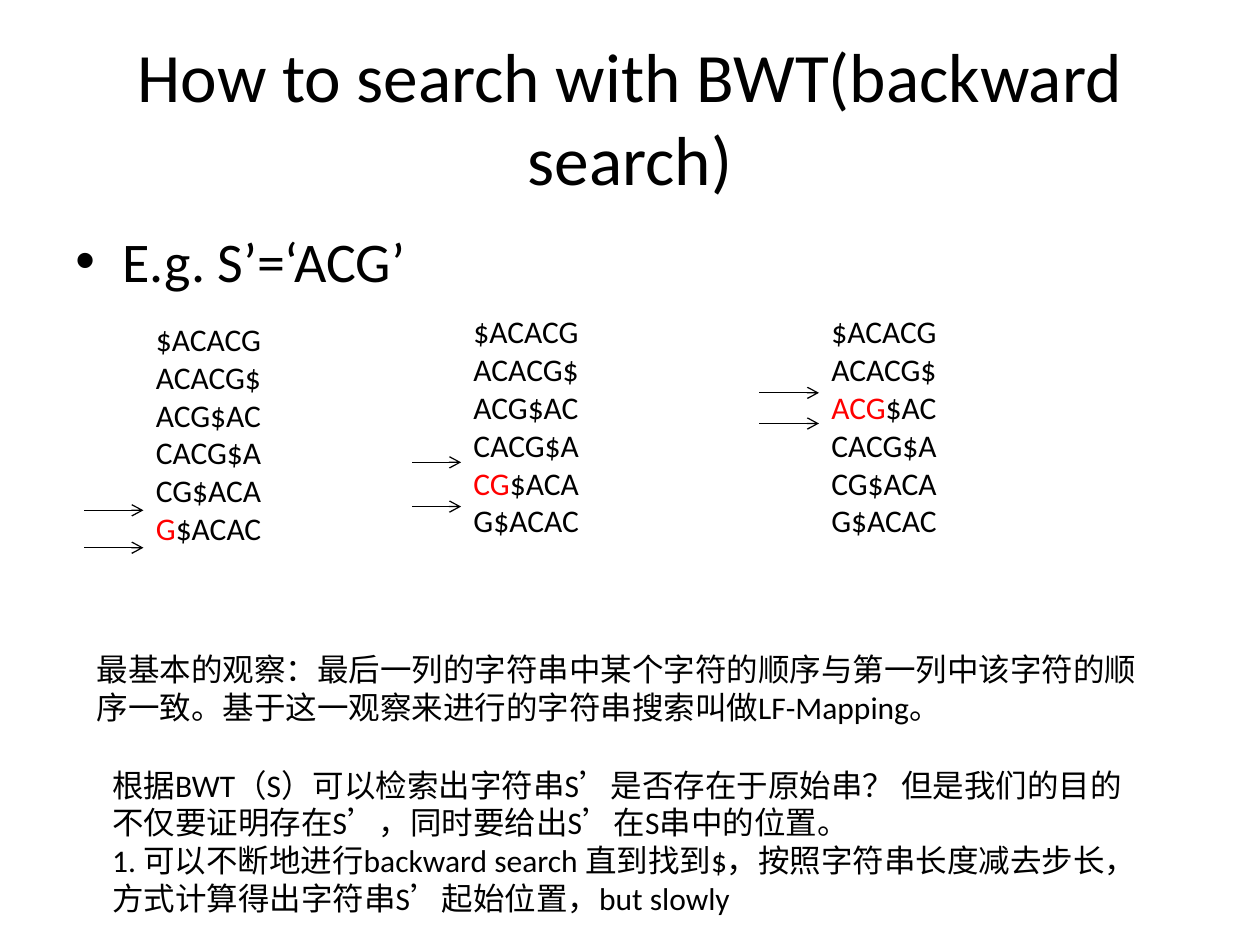
from pptx import Presentation
from pptx.dml.color import RGBColor as Rgb
from pptx.enum.shapes import MSO_CONNECTOR as Connector
from pptx.enum.text import MSO_ANCHOR as Anchor, PP_ALIGN as Align
from pptx.oxml.ns import qn
from pptx.util import Pt
from lxml.etree import SubElement

COLORS = {"text": "000000", "match": "FF0000"}
FONT = "Calibri"
ROTATIONS = ["$ACACG", "ACACG$", "ACG$AC", "CACG$A", "CG$ACA", "G$ACAC"]

# Left and top of each list, the matched prefix, arrow start and arrow heights
STEPS = [
    {"left": 82, "top": 179.3, "match": "G", "start": 48.2, "arrows": [291.6, 313]},
    {"left": 263.5, "top": 175, "match": "CG", "start": 235.5, "arrows": [264.2, 289.5]},
    {"left": 468, "top": 175, "match": "ACG", "start": 433.8, "arrows": [224.5, 242]},
]

OBSERVATION = [
    "最基本的观察：最后一列的字符串中某个字符的顺序与第一列中该字符的顺序一致。"
    "基于这一观察来进行的字符串搜索叫做LF-Mapping。",
]
SEARCH_NOTES = [
    "根据BWT（S）可以检索出字符串S’是否存在于原始串？ 但是我们的目的不仅要证明存在S’，"
    "同时要给出S’在S串中的位置。",
    "1. 可以不断地进行backward search 直到找到$，按照字符串长度减去步长，"
    "方式计算得出字符串S’起始位置，but slowly",
]


def apply_format(target, values):
    """Set every attribute in values on target."""
    for name, value in values.items():
        setattr(target, name, value)


def add_span(para, text, size, color="text"):
    """Append one run of formatted text."""
    span = para.add_run()
    span.text = text
    apply_format(span.font, {"name": FONT, "size": Pt(size)})
    span.font.color.rgb = Rgb.from_string(COLORS[color])


def add_text(slide, bounds, lines, size=18, anchor=Anchor.TOP, align=Align.LEFT):
    """Add a wrapped text box; each line is a list of (text, color) spans."""
    box = slide.shapes.add_textbox(*map(Pt, bounds))
    frame = box.text_frame
    apply_format(frame, {"word_wrap": True, "vertical_anchor": anchor})
    for index, spans in enumerate(lines):
        para = frame.add_paragraph() if index else frame.paragraphs[0]
        para.alignment = align
        for text, color in spans:
            add_span(para, text, size, color)
    return box


def plain(lines):
    """Turn strings into lines of one black span each."""
    return [[(line, "text")] for line in lines]


def add_bullet(para, indent):
    """Give a paragraph a round bullet with a hanging indent."""
    props = para._p.get_or_add_pPr()
    props.set("marL", str(Pt(indent)))
    props.set("indent", str(-Pt(indent)))
    SubElement(props, qn("a:buFont"), typeface="Arial")
    SubElement(props, qn("a:buChar"), char="•")


def add_arrow(slide, start, end, top):
    """Draw a thin horizontal arrow with an open head."""
    arrow = slide.shapes.add_connector(
        Connector.STRAIGHT, Pt(start), Pt(top), Pt(end), Pt(top))
    arrow.line.width = Pt(0.75)
    arrow.line.color.rgb = Rgb.from_string(COLORS["text"])
    SubElement(arrow.line._get_or_add_ln(), qn("a:tailEnd"), type="arrow")
    SubElement(arrow._element.spPr, qn("a:effectLst"))


def mark_match(rotation, match):
    """Split a rotation so that its matched prefix is red."""
    if not rotation.startswith(match):
        return [(rotation, "text")]
    return [(match, "match"), (rotation[len(match):], "text")]


def add_step(slide, step):
    """Add the rotation list of one search step and its range arrows."""
    lines = [mark_match(rotation, step["match"]) for rotation in ROTATIONS]
    add_text(slide, (step["left"], step["top"], 102, 138), lines)
    for top in step["arrows"]:
        add_arrow(slide, step["start"], step["left"], top)


def main():
    """Build the slide and save it."""
    deck = Presentation()
    apply_format(deck, {"slide_width": Pt(720), "slide_height": Pt(540)})
    page = deck.slides.add_slide(deck.slide_layouts[6])

    add_text(page, (36, 21.6, 648, 90), plain(["How to search with BWT(backward search)"]),
             39.6, Anchor.MIDDLE, Align.CENTER)
    example = add_text(page, (36, 126, 648, 356.4), plain(["E.g. S’=‘ACG’"]), 32)
    para = example.text_frame.paragraphs[0]
    para.space_before = Pt(6.4)
    add_bullet(para, 27)

    for step in STEPS:
        add_step(page, step)
    add_text(page, (48.2, 368, 618, 51), plain(OBSERVATION))
    add_text(page, (57, 434, 601, 94.5), plain(SEARCH_NOTES))
    deck.save("out.pptx")


main()
